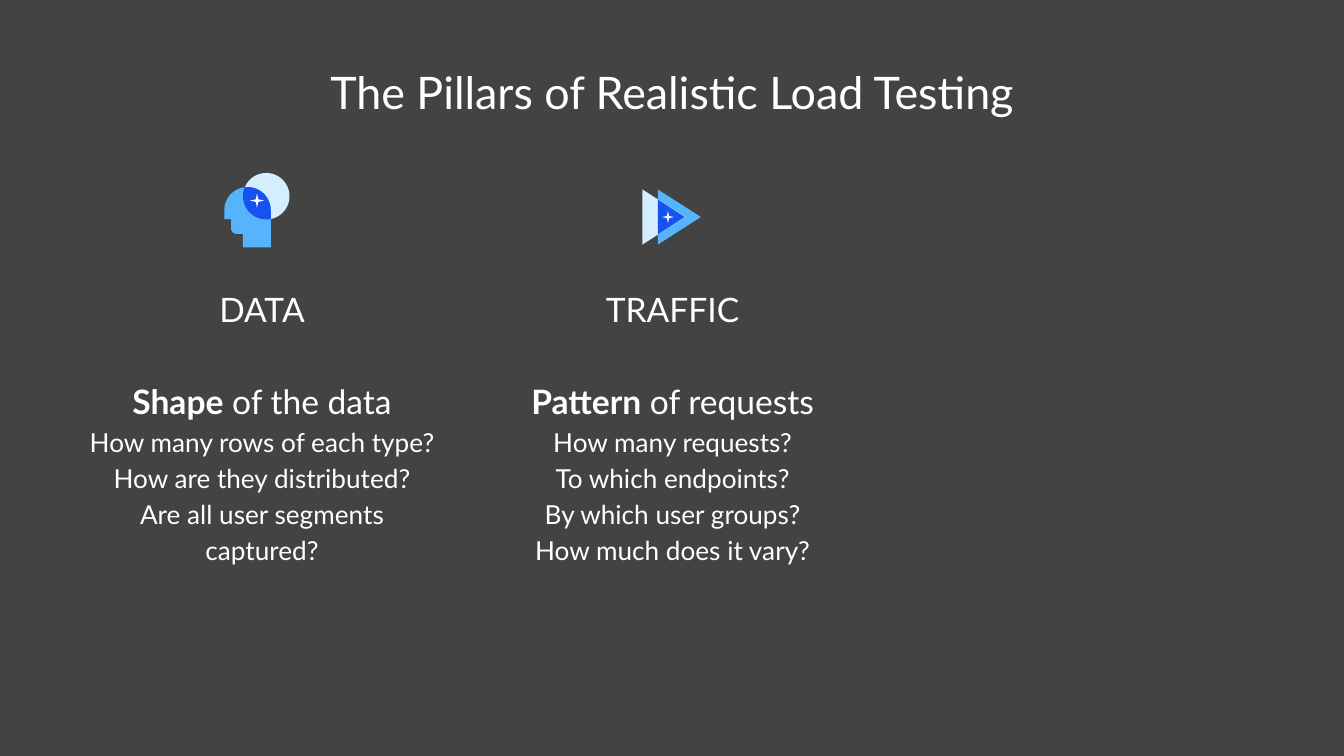
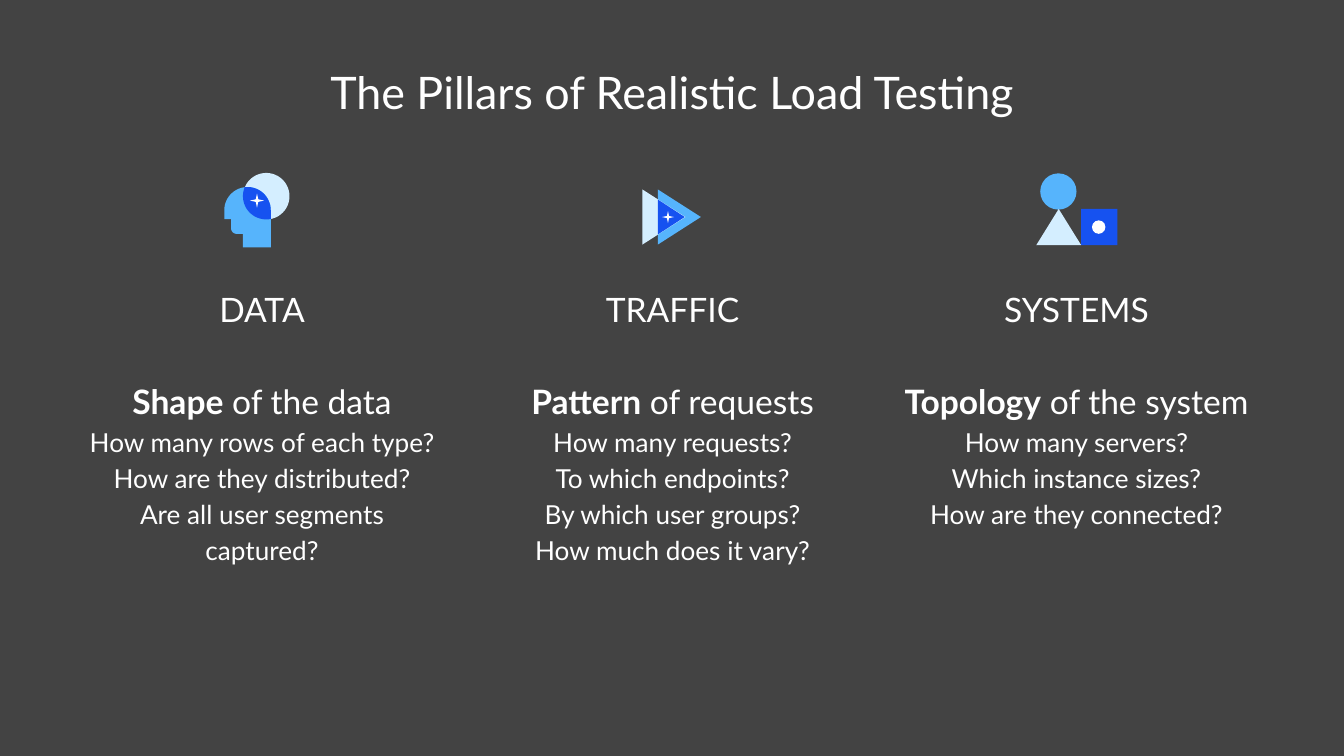
from dataclasses import dataclass
from math import cos, radians, sin

from pptx import Presentation
from pptx.dml.color import RGBColor
from pptx.enum.shapes import MSO_SHAPE
from pptx.enum.text import MSO_ANCHOR, PP_ALIGN
from pptx.shapes.autoshape import Shape
from pptx.shapes.shapetree import GroupShapes
from pptx.slide import Slide
from pptx.text.text import TextFrame
from pptx.util import Inches, Pt

COLORS = {
    "background": "434343",
    "white": "FFFFFF",
    "sky": "56B4FC",
    "pale": "D4EEFF",
    "blue": "1652F0",
}
FONT = "Lato"
SLIDE_WIDTH = Inches(10)
SLIDE_HEIGHT = SLIDE_WIDTH * 9 // 16
COLUMNS = 1000
CELL = SLIDE_WIDTH / COLUMNS

TITLE = "The Pillars of Realistic Load Testing"
TITLE_TOP, TITLE_WIDTH, TITLE_HEIGHT = 38, 831, 49
LABEL_TOP, LABEL_HEIGHT = 219.5, 21
BODY_TOP, BODY_WIDTH = 260.5, 279

Point = tuple[float, float]


@dataclass(frozen=True)
class Outline:
    color: str
    points: list[Point]


@dataclass(frozen=True)
class Preset:
    color: str
    kind: MSO_SHAPE
    left: float
    top: float
    width: float
    height: float


@dataclass(frozen=True)
class Pillar:
    center: float
    label: str
    label_width: float
    keyword: str
    subject: str
    questions: list[str]
    body_height: float
    icon: list[Outline | Preset]


def arc(x: float, y: float, radius: float, start: int, end: int) -> list[Point]:
    steps = 24
    angles = [radians(start + (end - start) * step / steps) for step in range(steps + 1)]
    return [(x + radius * cos(angle), y + radius * sin(angle)) for angle in angles]


def play_triangle(color: str, left: float, width: float, height: float) -> Outline:
    middle = 161.5
    return Outline(
        color,
        [(left, middle - height / 2), (left, middle + height / 2), (left + width, middle)],
    )


HEAD_ICON = [
    Preset("pale", MSO_SHAPE.OVAL, -14.2, 128.7, 34.6, 34.6),
    Outline(
        "sky",
        arc(-10.8, 156.5, 17.3, 180, 360)
        + [(6.5, 184), (-14.2, 184), (-14.2, 174)]
        + arc(-19, 170, 4, 90, 180)
        + [(-23, 163), (-28.1, 163)],
    ),
    Outline("blue", arc(-10.8, 156.5, 17.3, 262, 360) + arc(3.1, 146, 17.3, 78, 204)),
    Preset("white", MSO_SHAPE.STAR_4_POINT, -9, 144, 10.5, 10.5),
]
PLAY_ICON = [
    play_triangle("sky", -11, 32, 41),
    play_triangle("pale", -22.5, 32, 41),
    play_triangle("blue", -11, 20, 26),
    Preset("white", MSO_SHAPE.STAR_4_POINT, -8, 157, 9, 9),
]
SHAPES_ICON = [
    Preset("blue", MSO_SHAPE.RECTANGLE, 3.5, 155.5, 27, 27),
    Preset("sky", MSO_SHAPE.OVAL, -27, 129, 27, 27),
    Preset("pale", MSO_SHAPE.ISOSCELES_TRIANGLE, -30, 155.5, 33.5, 27),
    Preset("white", MSO_SHAPE.OVAL, 11.5, 164, 10, 10),
]

PILLARS = [
    Pillar(
        195, "DATA", 137, "Shape", " of the data",
        [
            "How many rows of each type?",
            "How are they distributed?",
            "Are all user segments captured?",
        ],
        241, HEAD_ICON,
    ),
    Pillar(
        500.5, "TRAFFIC", 127, "Pattern", " of requests",
        [
            "How many requests?",
            "To which endpoints?",
            "By which user groups?",
            "How much does it vary?",
        ],
        51, PLAY_ICON,
    ),
    Pillar(
        801, "SYSTEMS", 156, "Topology", " of the system",
        ["How many servers?", "Which instance sizes?", "How are they connected?"],
        51, SHAPES_ICON,
    ),
]


def cells(count: float) -> int:
    return round(count * CELL)


def add_text_box(
    slide: Slide, center: float, top: float, width: float, height: float,
    inset: tuple[int, int],
) -> TextFrame:
    box = slide.shapes.add_textbox(
        cells(center - width / 2), cells(top), cells(width), cells(height)
    )
    text_frame = box.text_frame
    text_frame.word_wrap = True
    text_frame.margin_left = text_frame.margin_right = cells(inset[0])
    text_frame.margin_top = text_frame.margin_bottom = cells(inset[1])
    return text_frame


def format_text(text_frame: TextFrame, size: int) -> None:
    for paragraph in text_frame.paragraphs:
        paragraph.alignment = PP_ALIGN.CENTER
        for run in paragraph.runs:
            run.font.name = FONT
            run.font.size = Pt(size)
            run.font.color.rgb = RGBColor.from_string(COLORS["white"])


def paint(shape: Shape, color: str) -> None:
    shape.shadow.inherit = False
    shape.fill.solid()
    shape.fill.fore_color.rgb = RGBColor.from_string(COLORS[color])
    shape.line.fill.background()


def draw_part(shapes: GroupShapes, part: Outline | Preset, center: float) -> None:
    if isinstance(part, Preset):
        shape = shapes.add_shape(
            part.kind, cells(center + part.left), cells(part.top),
            cells(part.width), cells(part.height),
        )
    else:
        points = [(cells(center + x), cells(y)) for x, y in part.points]
        builder = shapes.build_freeform(*points[0])
        builder.add_line_segments(points[1:], close=True)
        shape = builder.convert_to_shape()
    paint(shape, part.color)


def draw_pillar(slide: Slide, pillar: Pillar) -> None:
    body = add_text_box(
        slide, pillar.center, BODY_TOP, BODY_WIDTH, pillar.body_height, (9, 4)
    )
    body.text = "\n".join([pillar.keyword, *pillar.questions])
    heading, *questions = body.paragraphs
    heading.add_run().text = pillar.subject
    format_text(body, 14)
    heading.line_spacing = 1.63
    for run in heading.runs:
        run.font.size = Pt(18)
    heading.runs[0].font.bold = True
    for paragraph in questions:
        paragraph.line_spacing = 1.15

    label = add_text_box(
        slide, pillar.center, LABEL_TOP, pillar.label_width, LABEL_HEIGHT, (4, 2)
    )
    label.vertical_anchor = MSO_ANCHOR.MIDDLE
    label.text = pillar.label
    format_text(label, 18)

    icon = slide.shapes.add_group_shape()
    for part in pillar.icon:
        draw_part(icon.shapes, part, pillar.center)


def add_pillars_slide(presentation: Presentation, pillars: list[Pillar]) -> None:
    slide = presentation.slides.add_slide(presentation.slide_layouts[6])
    slide.background.fill.solid()
    slide.background.fill.fore_color.rgb = RGBColor.from_string(COLORS["background"])
    title = add_text_box(
        slide, COLUMNS / 2, TITLE_TOP, TITLE_WIDTH, TITLE_HEIGHT, (10, 10)
    )
    title.text = TITLE
    format_text(title, 24)
    for pillar in pillars:
        draw_pillar(slide, pillar)


def main() -> None:
    presentation = Presentation()
    presentation.slide_width = SLIDE_WIDTH
    presentation.slide_height = SLIDE_HEIGHT
    for shown in (2, 3):
        add_pillars_slide(presentation, PILLARS[:shown])
    presentation.save("out.pptx")


if __name__ == "__main__":
    main()
